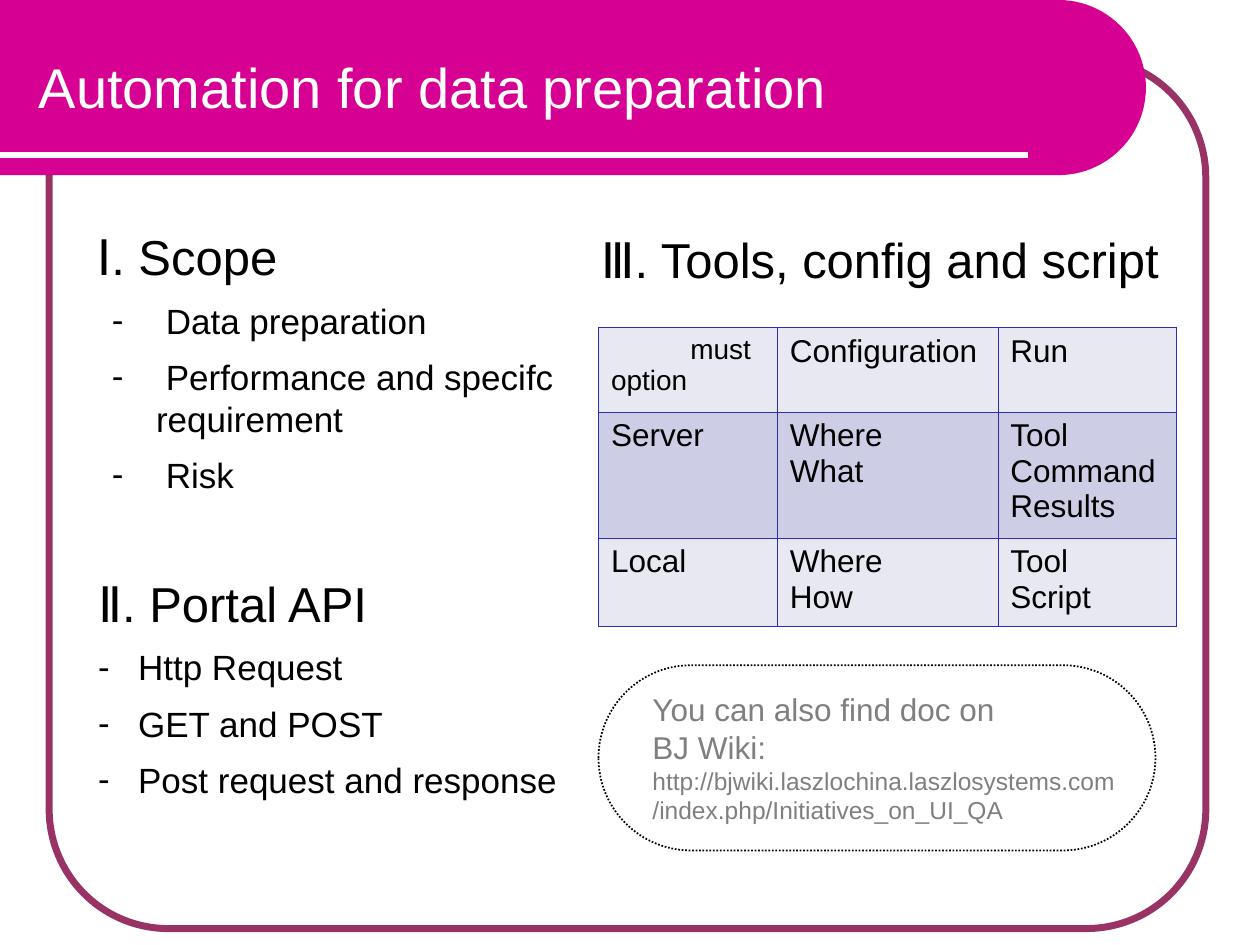
from math import cos, pi, sin

from lxml.etree import SubElement
from pptx import Presentation
from pptx.dml.color import RGBColor
from pptx.enum.dml import MSO_LINE
from pptx.enum.shapes import MSO_CONNECTOR, MSO_SHAPE
from pptx.enum.text import MSO_ANCHOR
from pptx.oxml.ns import qn
from pptx.util import Inches, Pt

WHITE = RGBColor(0xFF, 0xFF, 0xFF)
BLACK = RGBColor(0x00, 0x00, 0x00)
GRAY = RGBColor(0x7F, 0x7F, 0x7F)
PINK = RGBColor(0xD6, 0x00, 0x93)
PLUM = RGBColor(0x99, 0x33, 0x66)
BORDER = RGBColor(0x2D, 0x2D, 0xB9)
BANDS = [RGBColor(0xE8, 0xE8, 0xF3), RGBColor(0xCD, 0xCD, 0xE6)]


def style(span, size, color):
    span.font.name = "Arial"
    span.font.size = Pt(size)
    span.font.color.rgb = color


def add_text(left, top, width, height, text, size, color, wrap=True):
    box = page.shapes.add_textbox(Inches(left), Inches(top), Inches(width), Inches(height))
    frame = box.text_frame
    frame.word_wrap = wrap
    frame.text = text
    for para in frame.paragraphs:
        style(para.runs[0], size, color)
    return frame


deck = Presentation()
deck.slide_width = Inches(10)
deck.slide_height = Inches(7.5)
page = deck.slides.add_slide(deck.slide_layouts[6])

border_frame = page.shapes.add_shape(
    MSO_SHAPE.ROUNDED_RECTANGLE, Inches(0.39), Inches(0.46), Inches(9.18), Inches(6.91))
border_frame.adjustments[0] = 0.137
border_frame.shadow.inherit = False
border_frame.fill.background()
border_frame.line.color.rgb = PLUM
border_frame.line.width = Pt(4)

radius = Inches(1.39) / 2
steps = 48
arc = [(Inches(8.4) + radius * sin(pi * step / steps), radius - radius * cos(pi * step / steps))
       for step in range(steps + 1)]
builder = page.shapes.build_freeform(0, 0)
builder.add_line_segments(arc + [(0, 2 * radius)], close=True)
banner = builder.convert_to_shape()
banner.shadow.inherit = False
banner.fill.solid()
banner.fill.fore_color.rgb = PINK
banner.line.fill.background()

rule = page.shapes.add_connector(
    MSO_CONNECTOR.STRAIGHT, Inches(0), Inches(1.23), Inches(8.16), Inches(1.23))
rule.line.color.rgb = WHITE
rule.line.width = Pt(3)
SubElement(rule.element.spPr, qn("a:effectLst"))

title = add_text(0.21, 0, 7.52, 1.37, "Automation for data preparation", 32, WHITE)
title.vertical_anchor = MSO_ANCHOR.MIDDLE

sections = [
    (0.67, 1.75, 0.47, 0.35, "Ⅰ. Scope",
     [" Data preparation", " Performance and specifc requirement", " Risk"]),
    (0.68, 4.5, 0.24, 0.24, "Ⅱ. Portal API",
     [" Http Request", " GET and POST", " Post request and response"]),
]
for left, top, margin, hanging, heading, items in sections:
    frame = add_text(left, top, 3.88, 2.5, heading, 28, BLACK)
    for item in items:
        para = frame.add_paragraph()
        para.text = item
        para.space_before = Pt(8)
        properties = para._p.get_or_add_pPr()
        properties.set("marL", str(Inches(margin)))
        properties.set("indent", str(-Inches(hanging)))
        SubElement(properties, qn("a:buFont")).set("typeface", "Arial")
        SubElement(properties, qn("a:buChar")).set("char", "-")
        style(para.runs[0], 20, BLACK)

rows = [
    ["must\noption", "Configuration", "Run"],
    ["Server", "Where\nWhat", "Tool\nCommand\nResults"],
    ["Local", "Where\nHow", "Tool\nScript"],
]
table = page.shapes.add_table(
    3, 3, Inches(4.75), Inches(2.6), Inches(4.59), Inches(2.37)).table
for column, width in zip(table.columns, [1.42, 1.75, 1.42]):
    column.width = Inches(width)
for row, height in zip(table.rows, [0.67, 1, 0.7]):
    row.height = Inches(height)
for row_index, texts in enumerate(rows):
    for column_index, text in enumerate(texts):
        cell = table.cell(row_index, column_index)
        cell.text_frame.text = text
        size = 16 if row_index == column_index == 0 else 18
        for para in cell.text_frame.paragraphs:
            style(para.runs[0], size, BLACK)
            para.runs[0].font.bold = False
        properties = cell._tc.get_or_add_tcPr()
        for side in ["a:lnL", "a:lnR", "a:lnT", "a:lnB"]:
            edge = SubElement(properties, qn(side), w=str(Pt(0.45)))
            fill = SubElement(edge, qn("a:solidFill"))
            SubElement(fill, qn("a:srgbClr"), val=str(BORDER))
        cell.fill.solid()
        cell.fill.fore_color.rgb = BANDS[row_index % 2]
corner = table.cell(0, 0).text_frame.paragraphs[0]
corner._p.get_or_add_pPr().set("marL", str(Inches(0.63)))

add_text(4.67, 1.77, 4.67, 0.57, "Ⅲ. Tools, config and script", 28, BLACK, wrap=False)

note = page.shapes.add_shape(
    MSO_SHAPE.ROUNDED_RECTANGLE, Inches(4.75), Inches(5.28), Inches(4.42), Inches(1.47))
note.adjustments[0] = 0.5
note.shadow.inherit = False
note.fill.background()
note.line.color.rgb = BLACK
note.line.width = Pt(1)
note.line.dash_style = MSO_LINE.ROUND_DOT

wiki = add_text(5.08, 5.43, 3.92, 1.17, "You can also find doc on\nBJ Wiki: ", 18, GRAY)
address = wiki.paragraphs[1].add_run()
address.text = "http://bjwiki.laszlochina.laszlosystems.com/index.php/Initiatives_on_UI_QA"
style(address, 14, GRAY)

deck.save("out.pptx")
